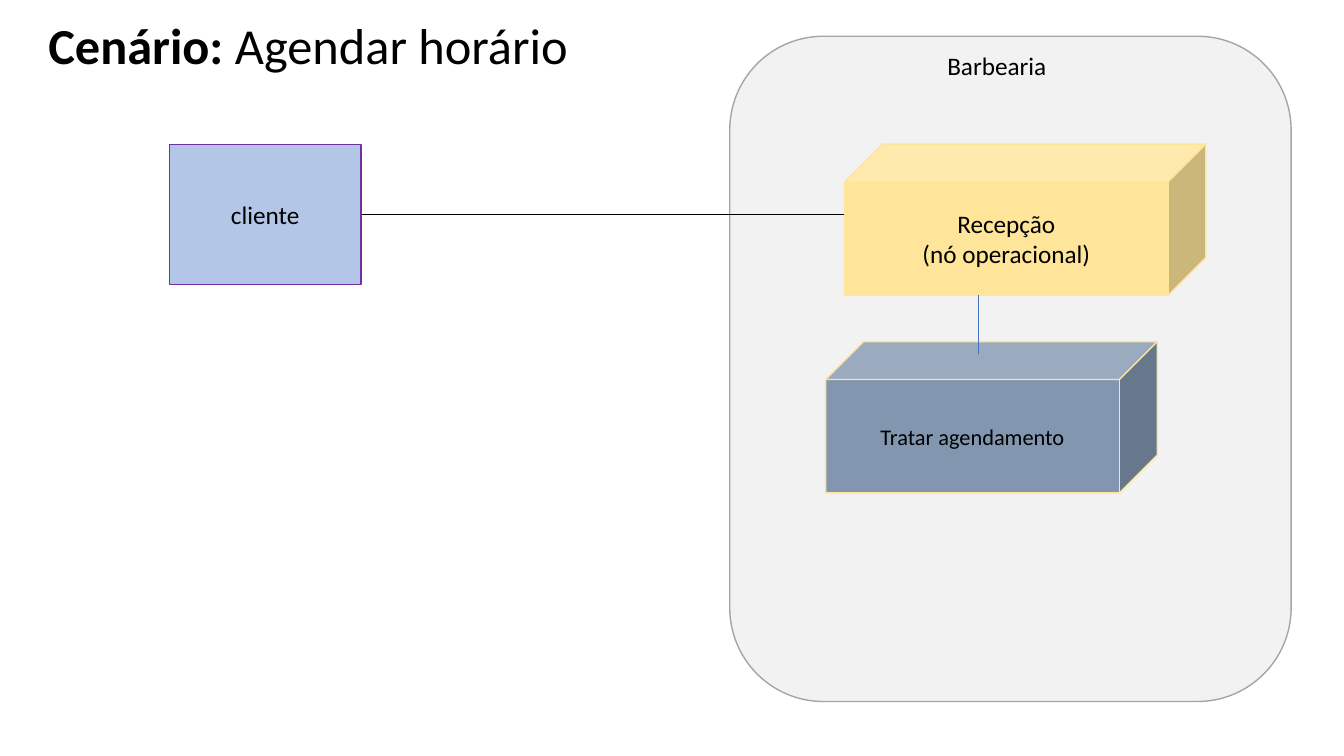
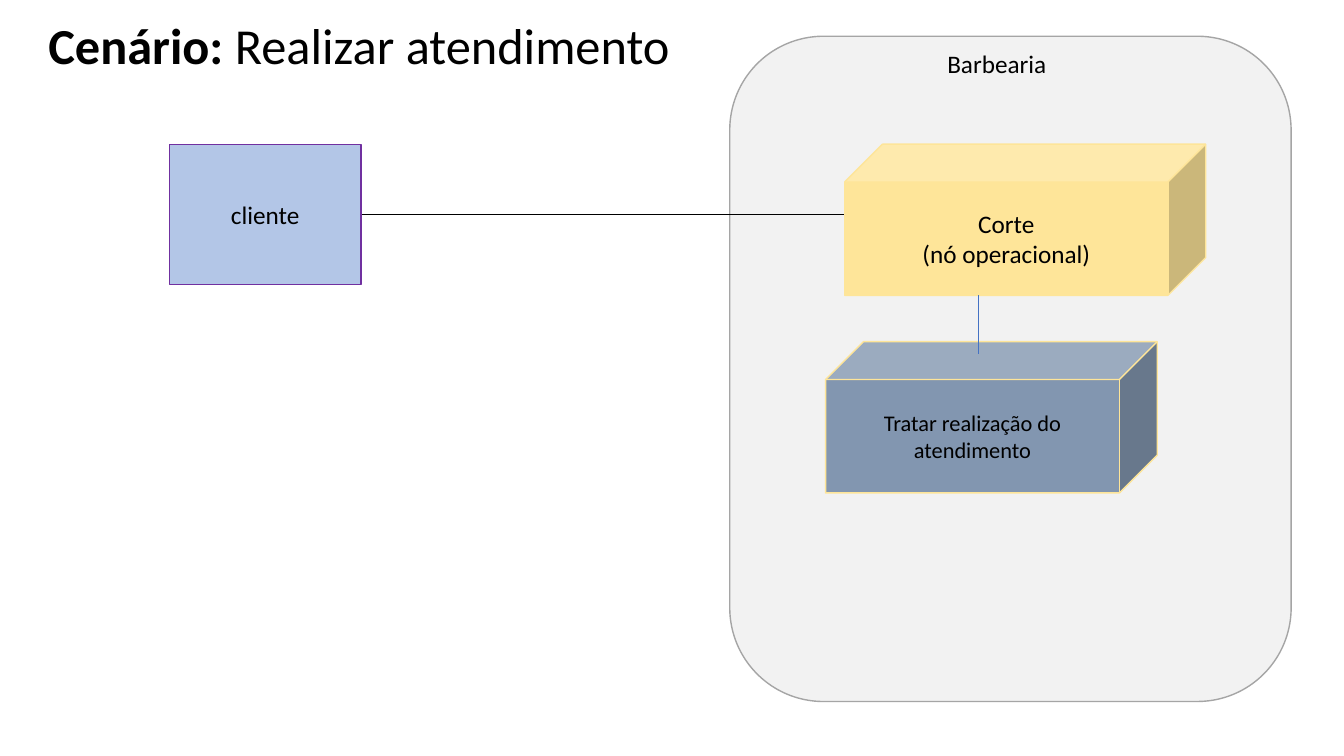
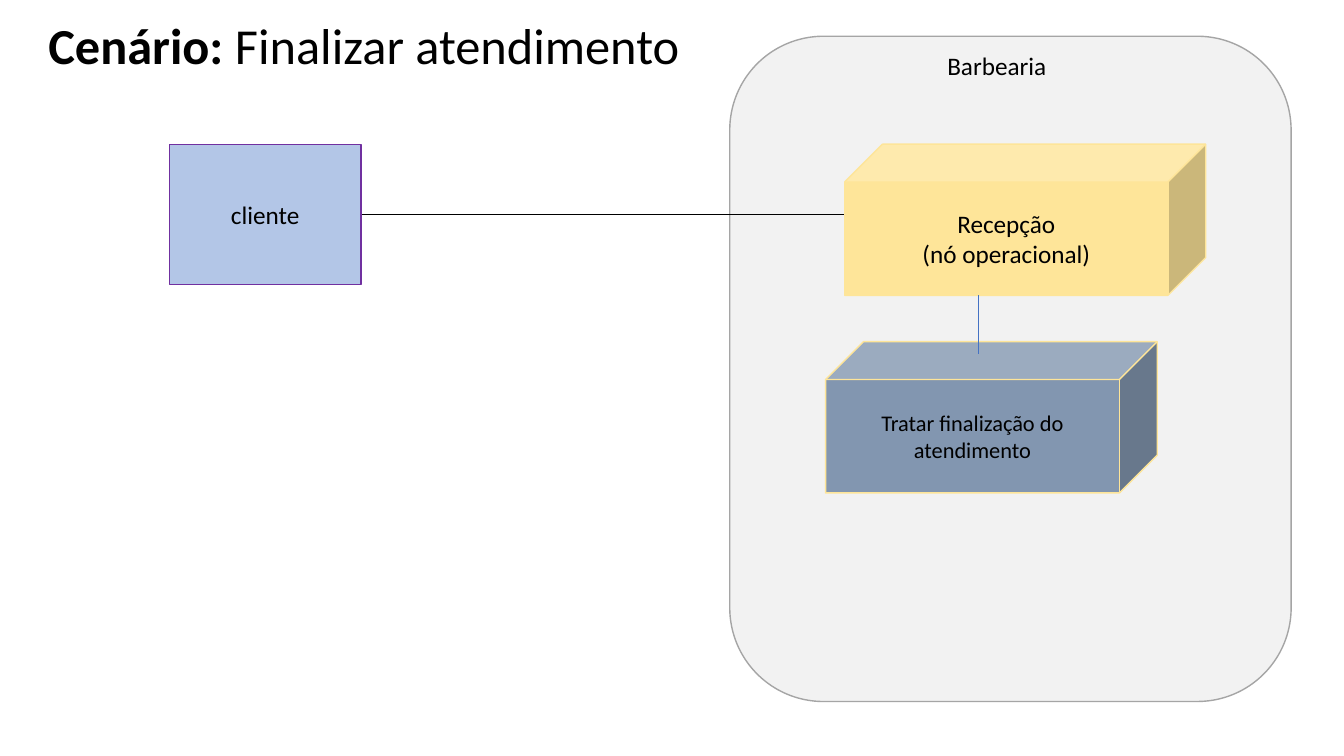
from dataclasses import dataclass
from typing import Optional

from lxml.etree import SubElement
from pptx import Presentation
from pptx.dml.color import RGBColor
from pptx.enum.shapes import MSO_CONNECTOR, MSO_SHAPE
from pptx.enum.text import MSO_ANCHOR, MSO_AUTO_SIZE, PP_ALIGN
from pptx.oxml.ns import qn
from pptx.slide import Slide
from pptx.text.text import TextFrame
from pptx.util import Pt

FONT = "Calibri"
BLACK = RGBColor(0x00, 0x00, 0x00)
LIGHT_GRAY = RGBColor(0xF2, 0xF2, 0xF2)
GRAY = RGBColor(0xA5, 0xA5, 0xA5)
LIGHT_BLUE = RGBColor(0xB3, 0xC6, 0xE7)
PURPLE = RGBColor(0x70, 0x30, 0xA0)
YELLOW = RGBColor(0xFE, 0xE5, 0x99)
SLATE = RGBColor(0x82, 0x96, 0xB0)
BLUE = RGBColor(0x44, 0x72, 0xC4)


@dataclass(frozen=True)
class Area:
    left: float
    top: float
    width: float
    height: float

    @property
    def right(self) -> float:
        return self.left + self.width

    @property
    def bottom(self) -> float:
        return self.top + self.height

    @property
    def lengths(self) -> tuple[Pt, Pt, Pt, Pt]:
        return Pt(self.left), Pt(self.top), Pt(self.width), Pt(self.height)


@dataclass(frozen=True)
class Block:
    shape: MSO_SHAPE
    area: Area
    fill: RGBColor
    line: RGBColor
    size: float = 18
    adjustment: Optional[float] = None


@dataclass(frozen=True)
class Link:
    start: tuple[float, float]
    end: tuple[float, float]
    color: RGBColor


@dataclass(frozen=True)
class Span:
    text: str
    bold: bool = False


@dataclass(frozen=True)
class Scenario:
    name: str
    node: str
    task: str
    label_top: float = 32.4
    title_height: float = 51.1


PANEL = Block(MSO_SHAPE.ROUNDED_RECTANGLE, Area(521.3, 25.9, 401, 475.2), LIGHT_GRAY, GRAY, adjustment=0.167)
CLIENT = Block(MSO_SHAPE.RECTANGLE, Area(121, 103, 136.8, 100.1), LIGHT_BLUE, PURPLE)
NODE = Block(MSO_SHAPE.CUBE, Area(603.4, 103, 257.8, 108), YELLOW, YELLOW, adjustment=0.25)
TASK = Block(MSO_SHAPE.CUBE, Area(589.7, 244.1, 236.9, 108), SLATE, YELLOW, 16, 0.25)

CLIENT_MIDDLE = CLIENT.area.top + CLIENT.area.height / 2
TASK_LINK_X = 699.1
CLIENT_LINK = Link((NODE.area.left, CLIENT_MIDDLE), (CLIENT.area.right, CLIENT_MIDDLE), BLACK)
TASK_LINK = Link((TASK_LINK_X, NODE.area.bottom), (TASK_LINK_X, 252.7), BLUE)

SCENARIOS = [
    Scenario("Agendar horário", "Recepção", "Tratar agendamento"),
    Scenario("Realizar atendimento", "Corte", "Tratar realização do atendimento", 31, 72.7),
    Scenario("Finalizar atendimento", "Recepção", "Tratar finalização do atendimento"),
]


def write(frame: TextFrame, lines: list[list[Span]], size: float, align: PP_ALIGN) -> None:
    frame.word_wrap = True
    for index, spans in enumerate(lines):
        para = frame.add_paragraph() if index else frame.paragraphs[0]
        para.alignment = align
        for span in spans:
            run = para.add_run()
            run.text = span.text
            run.font.name = FONT
            run.font.size = Pt(size)
            run.font.bold = span.bold
            run.font.color.rgb = BLACK


def add_block(page: Slide, block: Block, *lines: str) -> None:
    shape = page.shapes.add_shape(block.shape, *block.area.lengths)
    shape.shadow.inherit = False
    if block.adjustment is not None:
        shape.adjustments[0] = block.adjustment
    shape.fill.solid()
    shape.fill.fore_color.rgb = block.fill
    shape.line.color.rgb = block.line
    shape.line.width = Pt(1)
    shape.text_frame.vertical_anchor = MSO_ANCHOR.MIDDLE
    write(shape.text_frame, [[Span(line)] for line in lines], block.size, PP_ALIGN.CENTER)


def add_label(page: Slide, area: Area, size: float, *spans: Span) -> None:
    box = page.shapes.add_textbox(*area.lengths)
    write(box.text_frame, [list(spans)], size, PP_ALIGN.LEFT)
    box.text_frame.auto_size = MSO_AUTO_SIZE.SHAPE_TO_FIT_TEXT


def add_link(page: Slide, link: Link) -> None:
    points = [Pt(value) for value in (*link.start, *link.end)]
    connector = page.shapes.add_connector(MSO_CONNECTOR.STRAIGHT, *points)
    connector.line.color.rgb = link.color
    connector.line.width = Pt(0.75)
    SubElement(connector._element.spPr, qn("a:effectLst"))


def add_scenario(page: Slide, scenario: Scenario) -> None:
    add_block(page, PANEL)
    add_link(page, CLIENT_LINK)
    add_block(page, CLIENT, "cliente")
    add_label(page, Area(669.6, scenario.label_top, 131.8, 28.8), 18, Span("Barbearia"))
    add_block(page, NODE, scenario.node, "(nó operacional)")
    add_block(page, TASK, scenario.task)
    add_link(page, TASK_LINK)
    title_area = Area(27.4, 6.5, 493.9, scenario.title_height)
    add_label(page, title_area, 36, Span("Cenário: ", True), Span(scenario.name))


def main() -> None:
    deck = Presentation()
    deck.slide_width, deck.slide_height = Pt(960), Pt(540)
    for scenario in SCENARIOS:
        add_scenario(deck.slides.add_slide(deck.slide_layouts[6]), scenario)
    deck.save("out.pptx")


main()
